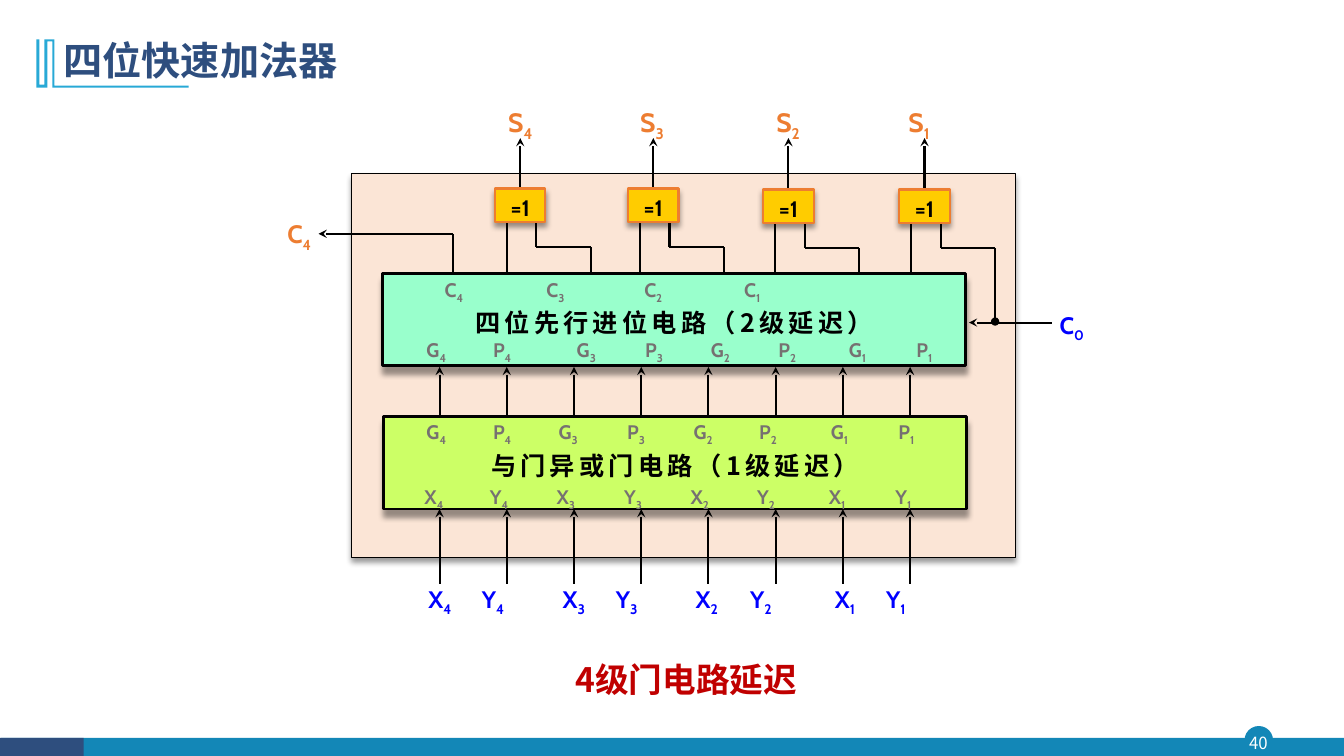
"""Build the slide about the four-bit fast adder."""
from dataclasses import dataclass

from lxml import etree
from pptx import Presentation
from pptx.dml.color import RGBColor
from pptx.enum.shapes import MSO_CONNECTOR, MSO_SHAPE
from pptx.enum.text import MSO_ANCHOR, PP_ALIGN
from pptx.oxml.ns import qn
from pptx.util import Inches, Pt

RECT, OVAL = MSO_SHAPE.RECTANGLE, MSO_SHAPE.OVAL
STRAIGHT = MSO_CONNECTOR.STRAIGHT
LEFT, CENTER = PP_ALIGN.LEFT, PP_ALIGN.CENTER
MIDDLE = MSO_ANCHOR.MIDDLE

CJK, LATIN = "Noto Sans CJK SC", "Cabin"
BLACK, WHITE, GREY, RED = "000000", "FFFFFF", "767171", "C00000"
NAVY, TEAL, SKY = "2E4E7E", "1387B7", "28A9D6"
INPUT_BLUE, OUTPUT_ORANGE = "0000FF", "ED7D31"


@dataclass
class Block:
    left: float
    top: float
    width: float
    height: float
    fill: str
    line: str | None = None
    line_width: float = 1
    shadow: float = 0
    kind: MSO_SHAPE = RECT


@dataclass
class Style:
    size: float
    color: str
    font: str = LATIN
    bold: bool = True
    spacing: int = 0


@dataclass
class SignalRow:
    letters: str
    lefts: list[float]
    middle: float
    style: Style


@dataclass
class XorGate:
    center: float
    top: float
    carry_bottom: float


def rgb(color: str) -> RGBColor:
    return RGBColor.from_string(color)


def add_run(paragraph, text: str, style: Style, subscript: bool = False) -> None:
    run = paragraph.add_run()
    run.text = text
    run.font.size = Pt(style.size)
    run.font.bold = style.bold
    run.font.name = style.font
    run.font.color.rgb = rgb(style.color)
    properties = run.font._element
    etree.SubElement(properties, qn("a:ea")).set("typeface", style.font)
    if subscript:
        properties.set("baseline", "-25000")
    if style.spacing:
        properties.set("spc", str(style.spacing * 100))


def prepare_text(shape, align: PP_ALIGN, wrap: bool = False):
    frame = shape.text_frame
    frame.margin_left = frame.margin_right = frame.margin_top = frame.margin_bottom = 0
    frame.word_wrap = wrap
    frame.vertical_anchor = MIDDLE
    frame.paragraphs[0].alignment = align
    return frame.paragraphs[0]


def add_block(slide, block: Block):
    shape = slide.shapes.add_shape(block.kind, Inches(block.left), Inches(block.top),
                                   Inches(block.width), Inches(block.height))
    shape.shadow.inherit = False
    shape.fill.solid()
    shape.fill.fore_color.rgb = rgb(block.fill)
    if block.line:
        shape.line.color.rgb = rgb(block.line)
        shape.line.width = Pt(block.line_width)
    else:
        shape.line.fill.background()
    if block.shadow:
        effects = shape._element.spPr.find(qn("a:effectLst"))
        outer = etree.SubElement(effects, qn("a:outerShdw"), blurRad=str(Pt(4)),
                                 dist=str(Pt(block.shadow)), dir="5400000",
                                 algn="t", rotWithShape="0")
        tint = etree.SubElement(outer, qn("a:srgbClr"), val=BLACK)
        etree.SubElement(tint, qn("a:alpha"), val="40000")
    return shape


def add_caption(slide, block: Block, text: str, style: Style) -> None:
    paragraph = prepare_text(add_block(slide, block), CENTER)
    paragraph.line_spacing = 1.2
    add_run(paragraph, text, style)


def add_text(slide, left: float, top: float, width: float, height: float,
             text: str, style: Style) -> None:
    box = slide.shapes.add_textbox(Inches(left), Inches(top), Inches(width), Inches(height))
    add_run(prepare_text(box, CENTER, wrap=True), text, style)


def add_signal(slide, letter: str, index: int, left: float, middle: float, style: Style) -> None:
    box = slide.shapes.add_textbox(Inches(left), Inches(middle - 0.2), Inches(0.4), Inches(0.4))
    paragraph = prepare_text(box, LEFT)
    add_run(paragraph, letter, style)
    add_run(paragraph, str(index), style, subscript=True)


def add_signal_row(slide, row: SignalRow) -> None:
    for position, left in enumerate(row.lefts):
        turn, place = divmod(position, len(row.letters))
        add_signal(slide, row.letters[place], 4 - turn, left, row.middle, row.style)


def add_wire(slide, x1: float, y1: float, x2: float, y2: float, head: str = "") -> None:
    wire = slide.shapes.add_connector(STRAIGHT, Inches(x1), Inches(y1), Inches(x2), Inches(y2))
    wire.line.color.rgb = rgb(BLACK)
    wire.line.width = Pt(1.5)
    if head:
        etree.SubElement(wire.line._ln, qn("a:headEnd"), type=head)
    etree.SubElement(wire._element.spPr, qn("a:effectLst"))


def add_gate(slide, gate: XorGate) -> None:
    center, bottom = gate.center, gate.top + 0.33
    bend, carry = bottom + 0.25, center + 0.7
    add_wire(slide, carry, gate.carry_bottom, carry, bend,
             "oval" if gate.carry_bottom > 3 else "")
    add_wire(slide, center + 0.16, bend, carry, bend)
    add_wire(slide, center + 0.16, bend, center + 0.16, bottom)
    add_wire(slide, center - 0.13, bottom, center - 0.13, 2.71)
    add_wire(slide, center, 1.37, center, gate.top, "stealth")
    add_caption(slide, Block(center - 0.25, gate.top, 0.5, 0.33, "FFCC00", OUTPUT_ORANGE, 1.5, 3),
                "=1", Style(16, BLACK))


def add_frame(slide) -> None:
    for band in (Block(12.35, 7.21, 0.27, 0.27, TEAL, TEAL, kind=OVAL),
                 Block(0.01, 7.32, 13.32, 0.19, TEAL),
                 Block(0, 7.32, 0.83, 0.19, NAVY)):
        add_block(slide, band)
    add_text(slide, 12.32, 7.21, 0.32, 0.31, "40", Style(12, WHITE, CJK, bold=False))
    outline = slide.shapes.build_freeform(54, 39, scale=Inches(0.01))
    outline.add_line_segments([(54, 85), (187, 85), (187, 87), (52, 87), (52, 41), (47, 41),
                               (47, 87), (36, 87), (36, 39), (39, 39), (39, 84), (44, 84),
                               (44, 39)], close=True)
    ornament = outline.convert_to_shape()
    ornament.shadow.inherit = False
    ornament.fill.solid()
    ornament.fill.fore_color.rgb = rgb(SKY)
    ornament.line.fill.background()


def add_title(slide) -> None:
    title = slide.shapes.title
    title.left, title.top, title.width, title.height = (
        Inches(length) for length in (0.53, 0.28, 11.5, 0.68))
    paragraph = prepare_text(title, LEFT, wrap=True)
    title.text_frame.margin_left = Inches(0.1)
    paragraph.line_spacing = 0.9
    add_run(paragraph, "四位快速加法器", Style(28, NAVY, CJK))


def add_adder(slide) -> None:
    add_block(slide, Block(3.49, 1.72, 6.58, 3.81, "FBE5D6", BLACK, 0.75, 3))
    caption = Style(18, BLACK, CJK, spacing=3)
    add_caption(slide, Block(3.8, 4.13, 5.79, 0.92, "CCFF66", BLACK, 2, 5),
                "与门异或门电路（1级延迟）", caption)
    add_caption(slide, Block(3.79, 2.71, 5.79, 0.92, "99FFCC", BLACK, 2, 5),
                "四位先行进位电路（2级延迟）", caption)
    for column in range(8):
        x = 4.36 + column * 2 / 3
        add_wire(slide, x, 5.05, x, 5.79, "stealth")
        add_wire(slide, x, 3.64, x, 4.14, "stealth")
    add_wire(slide, 3.16, 2.32, 4.49, 2.32, "stealth")
    add_wire(slide, 4.49, 2.32, 4.49, 2.73)
    add_wire(slide, 9.61, 3.2, 10.43, 3.2, "stealth")
    for gate in (XorGate(5.16, 1.87, 2.7), XorGate(6.48, 1.87, 2.7),
                 XorGate(7.82, 1.88, 2.71), XorGate(9.17, 1.88, 3.19)):
        add_gate(slide, gate)


def add_signals(slide) -> None:
    inner, outer, total = Style(14, GREY), Style(17, INPUT_BLUE), Style(19, OUTPUT_ORANGE)
    for row in (
        SignalRow("S", [5.04, 6.35, 7.7, 9.01], 1.23, total),
        SignalRow("C", [4.41, 5.42, 6.39, 7.38], 2.89, inner),
        SignalRow("GP", [4.23, 4.89, 5.72, 6.4, 7.05, 7.72, 8.42, 9.09], 3.49, inner),
        SignalRow("GP", [4.23, 4.89, 5.54, 6.22, 6.88, 7.53, 8.24, 8.91], 4.3, inner),
        SignalRow("XY", [4.21, 4.86, 5.52, 6.19, 6.85, 7.51, 8.22, 8.88], 4.94, inner),
        SignalRow("XY", [4.25, 4.78, 5.58, 6.11, 6.9, 7.44, 8.28, 8.79], 5.96, outer),
    ):
        add_signal_row(slide, row)
    add_signal(slide, "C", 4, 2.85, 2.34, Style(18, OUTPUT_ORANGE))
    add_signal(slide, "C", 0, 10.51, 3.24, outer)


def main() -> None:
    deck = Presentation()
    deck.slide_width, deck.slide_height = Inches(13.33), Inches(7.5)
    slide = deck.slides.add_slide(deck.slide_layouts[5])
    add_frame(slide)
    add_title(slide)
    add_adder(slide)
    add_signals(slide)
    add_text(slide, 5.03, 6.47, 3.55, 0.54, "4级门电路延迟", Style(24, RED, CJK))
    deck.save("out.pptx")


if __name__ == "__main__":
    main()
